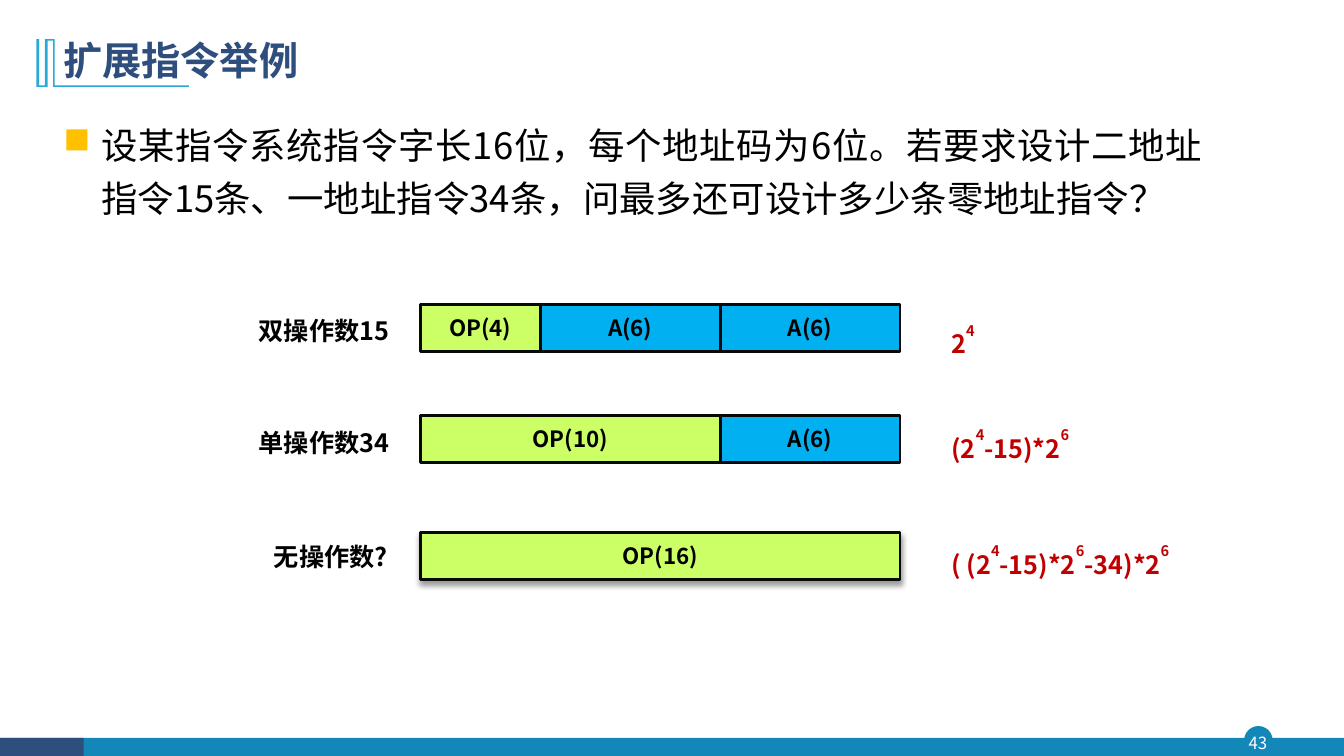
"""Builds a slide on expanding opcodes."""
from dataclasses import dataclass

from lxml import etree
from pptx import Presentation
from pptx.dml.color import RGBColor
from pptx.enum.shapes import MSO_SHAPE
from pptx.enum.text import MSO_ANCHOR, PP_ALIGN
from pptx.oxml.ns import qn
from pptx.util import Pt

RECT, OVAL = MSO_SHAPE.RECTANGLE, MSO_SHAPE.OVAL
LEFT, CENTER, JUST = PP_ALIGN.LEFT, PP_ALIGN.CENTER, PP_ALIGN.JUSTIFY
TOP, MIDDLE = MSO_ANCHOR.TOP, MSO_ANCHOR.MIDDLE


@dataclass(frozen=True)
class Theme:
    """Colours, font and type sizes of the slide."""
    font: str = "Noto Sans CJK SC"
    navy: str = "2E4E7E"
    teal: str = "1387B7"
    sky: str = "28A9D6"
    gold: str = "FFC000"
    lime: str = "CCFF66"
    blue: str = "00B0F0"
    edge: str = "080808"
    black: str = "000000"
    white: str = "FFFFFF"
    red: str = "C00000"
    title: int = 28
    body: int = 26
    label: int = 18
    cell: int = 16
    page: int = 12


THEME = Theme()
BIT = 21.42
BAR_X, BAR_H = 300.24, 33.84
ROWS = [
    ("双操作数15", 177.8, 221.8, 217.4, [4, 6, 6]),
    ("单操作数34", 177.8, 301.7, 296.6, [10, 6]),
    ("无操作数?", 188.6, 383, 380.2, [16]),
]
SUMS = [
    (226.1, 90.7, ["2", "4"]),
    (301, 142.6, ["(2", "4", "-15)*2", "6"]),
    (383.8, 201.6, ["( (2", "4", "-15)*2", "6", "-34)*2", "6"]),
]
MARK = [
    (39, 28), (39, 61.3), (134.8, 61.3), (134.8, 62.4), (37.6, 62.4),
    (37.6, 29.2), (34, 29.2), (34, 62.4), (25.9, 62.4), (25.9, 28),
    (28, 28), (28, 60.8), (31.9, 60.8), (31.9, 28),
]


def style(para, size, color, bold=False, align=LEFT):
    """Set the font and alignment of a paragraph."""
    para.alignment = align
    font = para.font
    font.size, font.bold, font.name = Pt(size), bold, THEME.font
    font.color.rgb = RGBColor.from_string(color)
    props = para._p.pPr.find(qn("a:defRPr"))
    etree.SubElement(props, qn("a:ea"), typeface=THEME.font)


def paint(shape, fill, line=None, width=1):
    """Set fill and outline and drop the shadow."""
    shape.shadow.inherit = False
    shape.fill.solid()
    shape.fill.fore_color.rgb = RGBColor.from_string(fill)
    if line:
        shape.line.color.rgb = RGBColor.from_string(line)
        shape.line.width = Pt(width)
    else:
        shape.line.fill.background()


def block(shapes, kind, box, fill, line=None, width=1):
    """Add a filled preset shape."""
    shape = shapes.add_shape(kind, *map(Pt, box))
    paint(shape, fill, line, width)
    return shape


def label(shapes, box, parts, size, color, bold=True, align=LEFT,
          anchor=TOP, wrap=False):
    """Add a text box in which every second part is raised."""
    frame = shapes.add_textbox(*map(Pt, box)).text_frame
    frame.word_wrap = wrap
    frame.vertical_anchor = anchor
    para = frame.paragraphs[0]
    for index, part in enumerate(parts):
        run = para.add_run()
        run.text = part
        if index % 2:
            run._r.get_or_add_rPr().set("baseline", "70000")
    style(para, size, color, bold, align)
    return frame


def bullet(shapes, box, text):
    """Add a bulleted paragraph of body text."""
    frame = label(shapes, box, [], THEME.body, THEME.black, False, JUST,
                  wrap=True)
    para = frame.paragraphs[0]
    para.add_run().text = text
    para.line_spacing = 1.23
    props = para._p.pPr
    props.set("marL", str(Pt(27)))
    props.set("indent", str(-Pt(27)))
    tint = etree.Element(qn("a:buClr"))
    etree.SubElement(tint, qn("a:srgbClr"), val=THEME.gold)
    sign = etree.Element(qn("a:buChar"), char="■")
    font = props.find(qn("a:defRPr"))
    font.addprevious(tint)
    font.addprevious(sign)


def shade(shape):
    """Give a shape a soft shadow below it."""
    effects = shape._element.spPr.find(qn("a:effectLst"))
    outer = etree.SubElement(
        effects, qn("a:outerShdw"), blurRad=str(Pt(4)), dist=str(Pt(3)),
        dir="5400000", algn="t", rotWithShape="0")
    tint = etree.SubElement(outer, qn("a:srgbClr"), val=THEME.black)
    etree.SubElement(tint, qn("a:alpha"), val="40000")


def row(shapes, name, name_x, name_y, top, fields):
    """Add one instruction format with its name."""
    group = shapes.add_group_shape().shapes
    left = BAR_X
    for index, bits in enumerate(fields):
        kind, fill = ("A", THEME.blue) if index else ("OP", THEME.lime)
        cell = block(group, RECT, (left, top, bits * BIT, BAR_H), fill,
                     THEME.edge, 2)
        cell.text_frame.vertical_anchor = MIDDLE
        para = cell.text_frame.paragraphs[0]
        para.text = f"{kind}({bits})"
        style(para, THEME.cell, THEME.black, True, CENTER)
        if len(fields) == 1:
            shade(cell)
        left += bits * BIT
    label(group, (name_x, name_y, 112.3, 28.8), [name], THEME.label,
          THEME.black)


def footer(shapes):
    """Add the bottom band and the page number."""
    block(shapes, OVAL, (889.2, 519.1, 19.4, 19.4), THEME.teal, THEME.teal)
    block(shapes, RECT, (0.5, 527, 959.5, 13.4), THEME.teal)
    block(shapes, RECT, (0, 527, 59.8, 13.4), THEME.navy)
    frame = label(shapes, (887, 519.1, 23, 22.3), ["43"], THEME.page,
                  THEME.white, False, CENTER, MIDDLE)
    frame.margin_left = frame.margin_right = 0
    frame.margin_top = frame.margin_bottom = 0


def header(shapes, text):
    """Add the title and its corner mark."""
    pen = shapes.build_freeform(*MARK[0], scale=Pt(1))
    pen.add_line_segments(MARK[1:], close=True)
    paint(pen.convert_to_shape(), THEME.sky)
    frame = label(shapes, (38.2, 20.2, 828, 49), [text], THEME.title,
                  THEME.navy, anchor=MIDDLE, wrap=True)
    frame.paragraphs[0].line_spacing = 0.9


def main():
    """Build and save the slide."""
    deck = Presentation()
    deck.slide_width, deck.slide_height = Pt(960), Pt(540)
    shapes = deck.slides.add_slide(deck.slide_layouts[6]).shapes
    footer(shapes)
    header(shapes, "扩展指令举例")
    bullet(shapes, (38.2, 77, 828, 113),
           "设某指令系统指令字长16位，每个地址码为6位。若要求设计二地址指令15条、"
           "一地址指令34条，问最多还可设计多少条零地址指令？")
    for item in ROWS:
        row(shapes, *item)
    for top, width, parts in SUMS:
        label(shapes, (672.5, top, width, 28.8), parts, THEME.label,
              THEME.red)
    deck.save("out.pptx")


if __name__ == "__main__":
    main()
